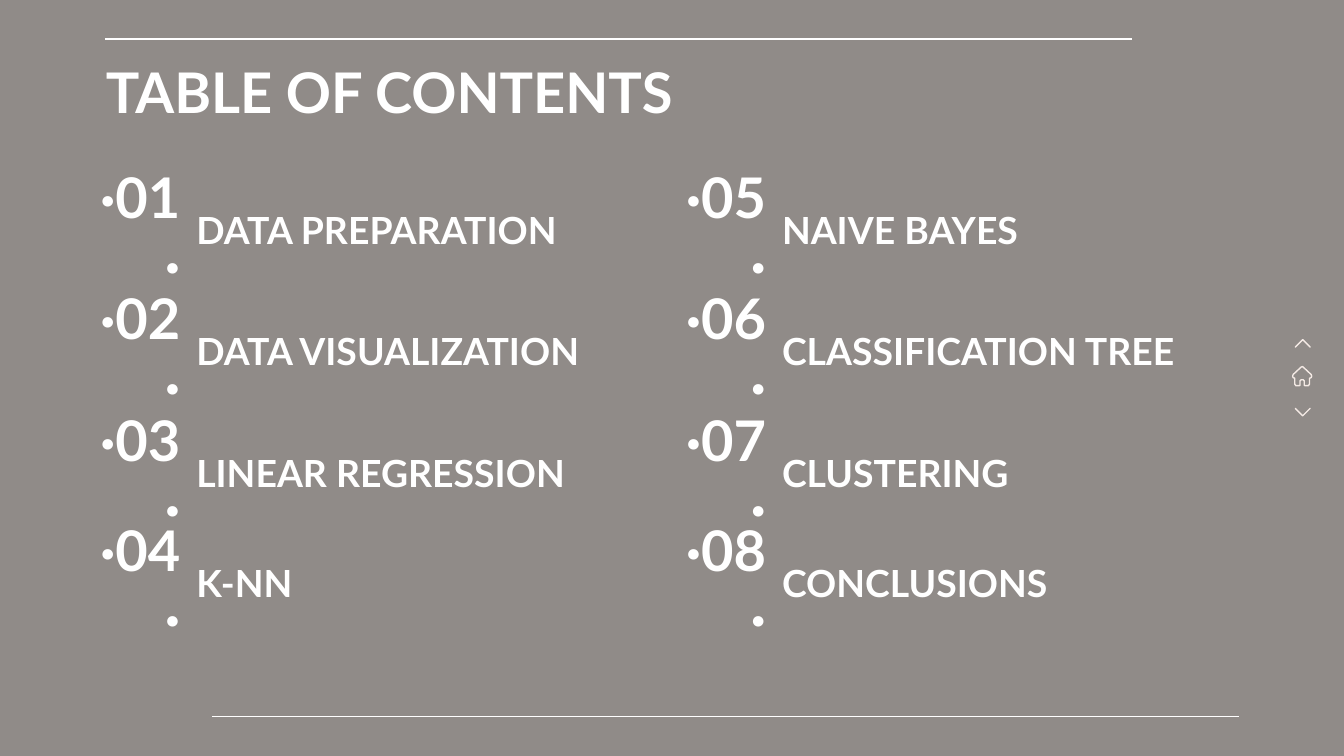
"""Builds the table of contents slide."""
from dataclasses import dataclass

from lxml import etree
from pptx import Presentation, util as u
from pptx.dml import color
from pptx.enum import shapes, text
from pptx.oxml import ns

HUES = {"page": "F4EAE5", "veil": "1B1B1B", "text": "FFFFFF", "icon": "F4EAE5"}
FONT = "Lato"
WIDE, HIGH = 25.4, 14.29
COLS = (1.63, 12.7)
ROWS = (3.91, 6.2, 8.5, 10.59)
HOUSE = (
    (16, 1), (18, 0), (20, 1), (35, 15), (36, 18), (35, 21), (32, 22), (32, 33),
    (30, 36), (23, 36), (22, 35), (22, 27), (20, 25), (16, 25), (14, 27), (14, 35),
    (13, 36), (6, 36), (4, 33), (4, 22), (1, 21), (0, 18), (1, 15),
)


@dataclass
class Entry:
    num: int
    name: str
    left: float
    top: float


@dataclass
class Arrow:
    mid: float
    turn: int


def tint(hue: str) -> color.RGBColor:
    return color.RGBColor.from_string(HUES[hue])


def write(box, words: str, *, size: float, align=text.PP_ALIGN.LEFT,
          anchor=text.MSO_ANCHOR.MIDDLE) -> None:
    frame = box.text_frame
    frame.word_wrap = True
    frame.auto_size = text.MSO_AUTO_SIZE.NONE
    frame.vertical_anchor = anchor
    frame.margin_left = frame.margin_right = frame.margin_top = frame.margin_bottom = 0
    para = frame.paragraphs[0]
    para.alignment = align
    run = para.add_run()
    run.text = words
    run.font.name = FONT
    run.font.size = u.Pt(size)
    run.font.bold = True
    run.font.color.rgb = tint("text")


def add_box(slide, left: float, top: float, width: float, height: float):
    return slide.shapes.add_textbox(u.Cm(left), u.Cm(top), u.Cm(width), u.Cm(height))


def add_veil(slide) -> None:
    veil = slide.shapes.add_shape(
        shapes.MSO_SHAPE.RECTANGLE, 0, 0, u.Cm(WIDE), u.Cm(HIGH))
    veil.shadow.inherit = False
    veil.line.fill.background()
    veil.fill.solid()
    veil.fill.fore_color.rgb = tint("veil")
    hue = veil.element.spPr.find(".//" + ns.qn("a:srgbClr"))
    etree.SubElement(hue, ns.qn("a:alpha"), val="46000")


def add_rule(slide, start: float, end: float, top: float) -> None:
    rule = slide.shapes.add_connector(
        shapes.MSO_CONNECTOR.STRAIGHT, u.Cm(start), u.Cm(top), u.Cm(end), u.Cm(top))
    rule.line.color.rgb = tint("text")
    rule.line.width = u.Pt(0.75)
    etree.SubElement(rule.element.spPr, ns.qn("a:effectLst"))


def add_title(slide, words: str) -> None:
    title = slide.shapes.title
    title.left, title.top = u.Cm(2), u.Cm(1.09)
    title.width, title.height = u.Cm(21.41), u.Cm(1.27)
    write(title, words, size=30, anchor=text.MSO_ANCHOR.TOP)
    title.element.getparent().append(title.element)


def add_entry(slide, entry: Entry) -> None:
    write(add_box(slide, entry.left, entry.top, 1.78, 0.86),
          f"·{entry.num:02}·", size=30, align=text.PP_ALIGN.RIGHT)
    write(add_box(slide, entry.left + 2.08, entry.top, 7.85, 0.86), entry.name, size=20)


def trace(shape) -> None:
    shape.shadow.inherit = False
    shape.fill.background()
    shape.line.color.rgb = tint("icon")
    shape.line.width = u.Pt(0.75)


def add_arrow(slide, arrow: Arrow) -> None:
    width, height = 0.14, 0.28
    shape = slide.shapes.add_shape(
        shapes.MSO_SHAPE.CHEVRON, u.Cm(24.62 - width / 2), u.Cm(arrow.mid - height / 2),
        u.Cm(width), u.Cm(height))
    shape.adjustments[0] = 1
    shape.rotation = arrow.turn
    trace(shape)


def add_house(slide) -> None:
    pen = slide.shapes.build_freeform(*HOUSE[0], scale=u.Cm(0.01))
    pen.add_line_segments(HOUSE[1:], close=True)
    trace(pen.convert_to_shape(u.Cm(24.43), u.Cm(6.93)))


def main() -> None:
    deck = Presentation()
    deck.slide_width, deck.slide_height = u.Cm(WIDE), u.Cm(HIGH)
    slide = deck.slides.add_slide(deck.slide_layouts.get_by_name("Title Only"))
    back = slide.background.fill
    back.solid()
    back.fore_color.rgb = tint("page")

    add_veil(slide)
    add_rule(slide, 1.98, 21.39, 0.74)
    add_rule(slide, 4.01, 23.42, 13.54)
    add_title(slide, "TABLE OF CONTENTS")

    names = (
        "DATA PREPARATION", "DATA VISUALIZATION", "LINEAR REGRESSION", "K-NN",
        "NAIVE BAYES", "CLASSIFICATION TREE", "CLUSTERING", "CONCLUSIONS",
    )
    for i, name in enumerate(names):
        col, row = divmod(i, len(ROWS))
        add_entry(slide, Entry(i + 1, name, COLS[col], ROWS[row]))

    add_house(slide)
    for arrow in (Arrow(6.49, 270), Arrow(7.79, 90)):
        add_arrow(slide, arrow)
    deck.save("out.pptx")


if __name__ == "__main__":
    main()
